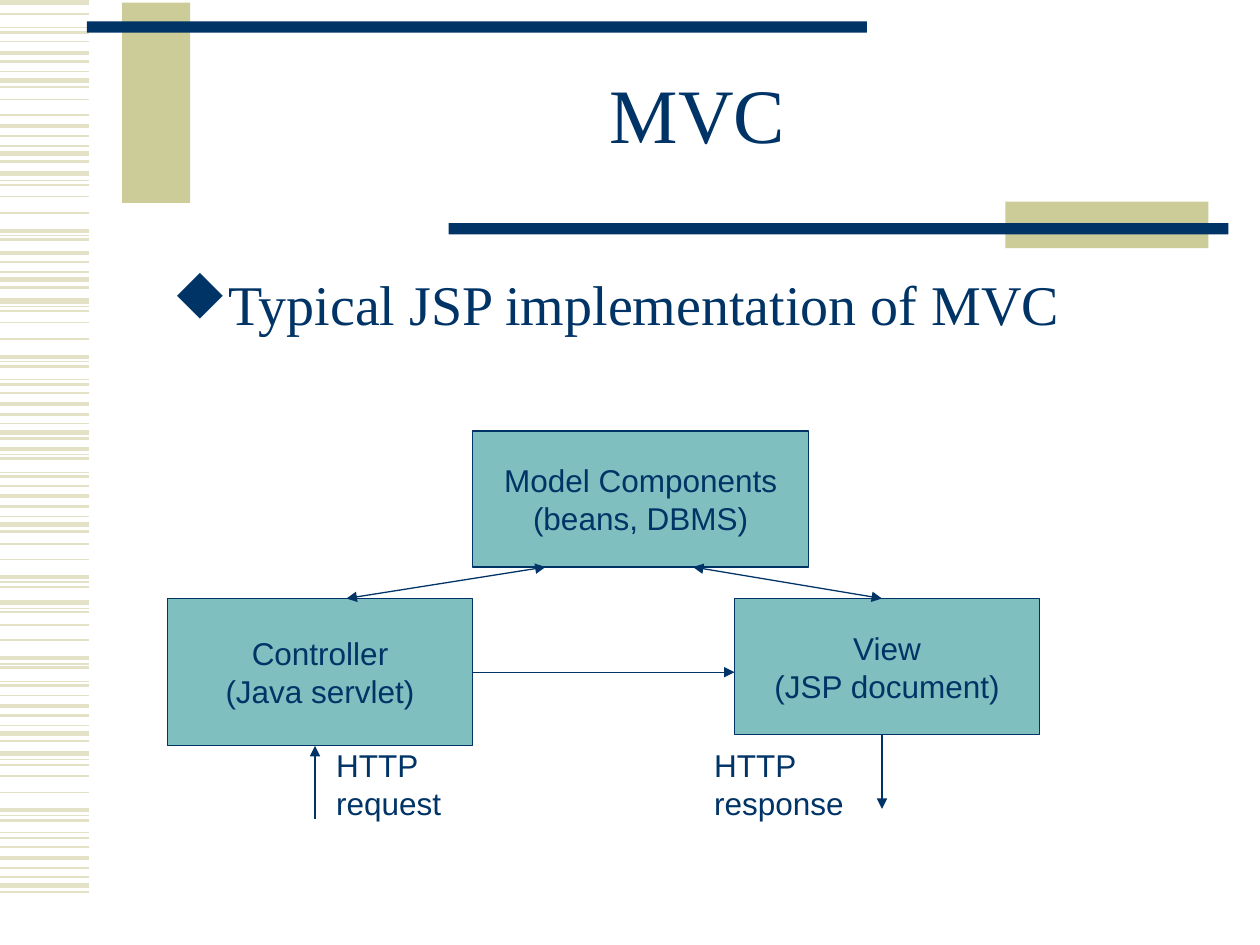
from lxml import etree
from pptx import Presentation
from pptx.dml.color import RGBColor
from pptx.enum.shapes import MSO_CONNECTOR, MSO_SHAPE
from pptx.enum.text import MSO_ANCHOR, MSO_AUTO_SIZE, PP_ALIGN
from pptx.oxml.ns import qn
from pptx.util import Pt

STRAIGHT, RECTANGLE = MSO_CONNECTOR.STRAIGHT, MSO_SHAPE.RECTANGLE
TOP, MIDDLE = MSO_ANCHOR.TOP, MSO_ANCHOR.MIDDLE
LEFT, CENTER = PP_ALIGN.LEFT, PP_ALIGN.CENTER
GROW = MSO_AUTO_SIZE.SHAPE_TO_FIT_TEXT
RIGHT_SIDE = 3

SCALE = 9144  # EMU in one px, 100 px to the inch
NAVY, KHAKI, PALE_KHAKI, TEAL = "003366", "CCCC99", "E3E2C7", "008080"
SERIF, SANS = "Times New Roman", "Arial"
DIAMOND_FONT, DIAMOND = "Wingdings", "u"  # this letter is a diamond there

# Left margin stripes: heights on the page, by line width in points
STRIPE_END = 71
STRIPES = {
    3: [2, 64, 122, 138, 222, 239, 343, 416, 478, 582, 598, 703],
    2.25: [42, 100, 183, 201, 283, 321, 356, 394, 458, 522, 560, 643, 681],
    1.5: [11, 26, 49, 69, 108, 128, 190, 208, 228, 291, 305, 329, 348, 364,
          378, 402, 422, 466, 530, 544, 568, 588, 651, 665, 689, 708],
    1: [33, 79, 91, 147, 156, 169, 247, 256, 269, 312, 386, 432, 444, 486,
        496, 508, 552, 607, 616, 629, 672],
    0.75: [22, 57, 116, 143, 187, 216, 243, 287, 301, 336, 361, 375, 410,
           462, 483, 527, 541, 576, 603, 647, 661, 696],
}

# Header bars: left, top, width, height, colour
BARS = [
    (97, 2, 54, 159, KHAKI),
    (69, 17, 619, 9, NAVY),
    (798, 160, 161, 37, KHAKI),
    (356, 177, 619, 9, NAVY),
]

TITLE = ("MVC", (150, 33, 807, 125))
BODY = ("Typical JSP implementation of MVC", (89, 209, 870, 424))

COMPONENTS = {
    "controller": ("Controller\n(Java servlet)", (133, 475, 242, 117)),
    "model": ("Model Components\n(beans, DBMS)", (375, 342, 267, 108)),
    "view": ("View\n(JSP document)", (583, 475, 242, 108)),
}
LABELS = [
    ("HTTP\nrequest", (257, 587, 104, 70)),
    ("HTTP\nresponse", (557, 587, 123, 70)),
]

# Arrows: start, end, arrowhead at both ends
ARROWS = [
    ((275, 475), (433, 450), True),
    ((700, 475), (550, 450), True),
    ((250, 650), (250, 592), False),
    ((700, 583), (700, 642), False),
]
CALL_ARROW = ((375, 533), (583, 533))


def px(*lengths):
    return [length * SCALE for length in lengths]


def rgb(color):
    return RGBColor.from_string(color)


def add_line(page, start, end, color, width, heads=()):
    line = page.shapes.add_connector(STRAIGHT, *px(*start, *end))
    line.line.color.rgb = rgb(color)
    line.line.width = Pt(width)
    outline = line.line._get_or_add_ln()
    for head in heads:
        etree.SubElement(outline, qn("a:" + head), type="triangle")
    etree.SubElement(line._element.spPr, qn("a:effectLst"))
    return line


def add_rectangle(page, place, color):
    box = page.shapes.add_shape(RECTANGLE, *px(*place))
    box.shadow.inherit = False
    box.fill.solid()
    box.fill.fore_color.rgb = rgb(color)
    box.line.fill.background()
    return box


def write(box, text, font, size, align=LEFT, anchor=TOP, wrap=False):
    frame = box.text_frame
    frame.text = text
    frame.word_wrap = wrap
    frame.vertical_anchor = anchor
    for para in frame.paragraphs:
        para.alignment = align
        for span in para.runs:
            span.font.name = font
            span.font.size = Pt(size)
            span.font.color.rgb = rgb(NAVY)
    return frame


def add_text(page, text, place, *style, **options):
    return write(page.shapes.add_textbox(*px(*place)), text, *style, **options)


def add_bullet(para):
    para.space_before = Pt(8)
    props = para._p.get_or_add_pPr()
    margin, indent = px(13, 25)
    props.set("marL", str(margin))
    props.set("indent", str(indent))
    color = etree.SubElement(props, qn("a:buClr"))
    etree.SubElement(color, qn("a:srgbClr"), val=NAVY)
    etree.SubElement(props, qn("a:buFont"), typeface=DIAMOND_FONT,
                     pitchFamily="2", charset="2")
    etree.SubElement(props, qn("a:buChar"), char=DIAMOND)


def add_component(page, text, place):
    box = add_rectangle(page, place, TEAL)
    shade = box._element.spPr.find(qn("a:solidFill"))[0]
    etree.SubElement(shade, qn("a:alpha"), val="50000")
    box.line.color.rgb = rgb(NAVY)
    box.line.width = Pt(0.75)
    write(box, text, SANS, 18, CENTER, MIDDLE)
    return box


def main():
    deck = Presentation()
    deck.slide_width, deck.slide_height = px(1000, 750)
    page = deck.slides.add_slide(deck.slide_layouts[6])

    # Margin stripes and header bars
    for width, heights in STRIPES.items():
        for y in heights:
            add_line(page, (0, y), (STRIPE_END, y), PALE_KHAKI, width)
    for *place, color in BARS:
        add_rectangle(page, place, color)

    # Title and bullet
    title = add_text(page, *TITLE, SERIF, 44, CENTER, MIDDLE, wrap=True)
    title.paragraphs[0].line_spacing = 0.85
    body = add_text(page, *BODY, SERIF, 32, wrap=True)
    add_bullet(body.paragraphs[0])

    # Diagram
    boxes = {name: add_component(page, *component)
             for name, component in COMPONENTS.items()}
    for start, end, both in ARROWS:
        heads = ("headEnd", "tailEnd") if both else ("tailEnd",)
        add_line(page, start, end, NAVY, 0.75, heads)
    call = add_line(page, *CALL_ARROW, NAVY, 0.75, ("tailEnd",))
    call.begin_connect(boxes["controller"], RIGHT_SIDE)
    call.end_y = call.begin_y
    for text, place in LABELS:
        add_text(page, text, place, SANS, 18).auto_size = GROW

    deck.save("out.pptx")


if __name__ == "__main__":
    main()
